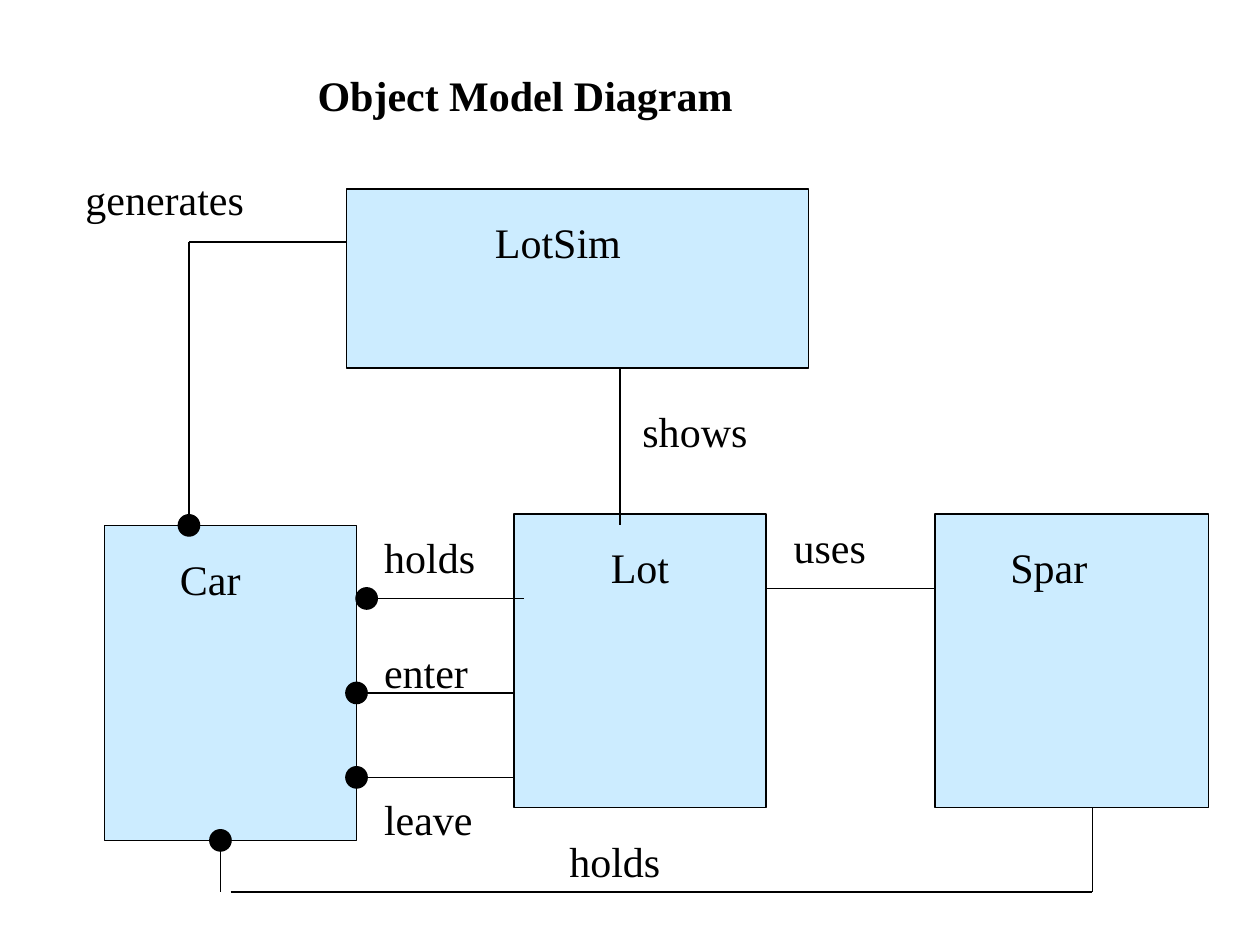
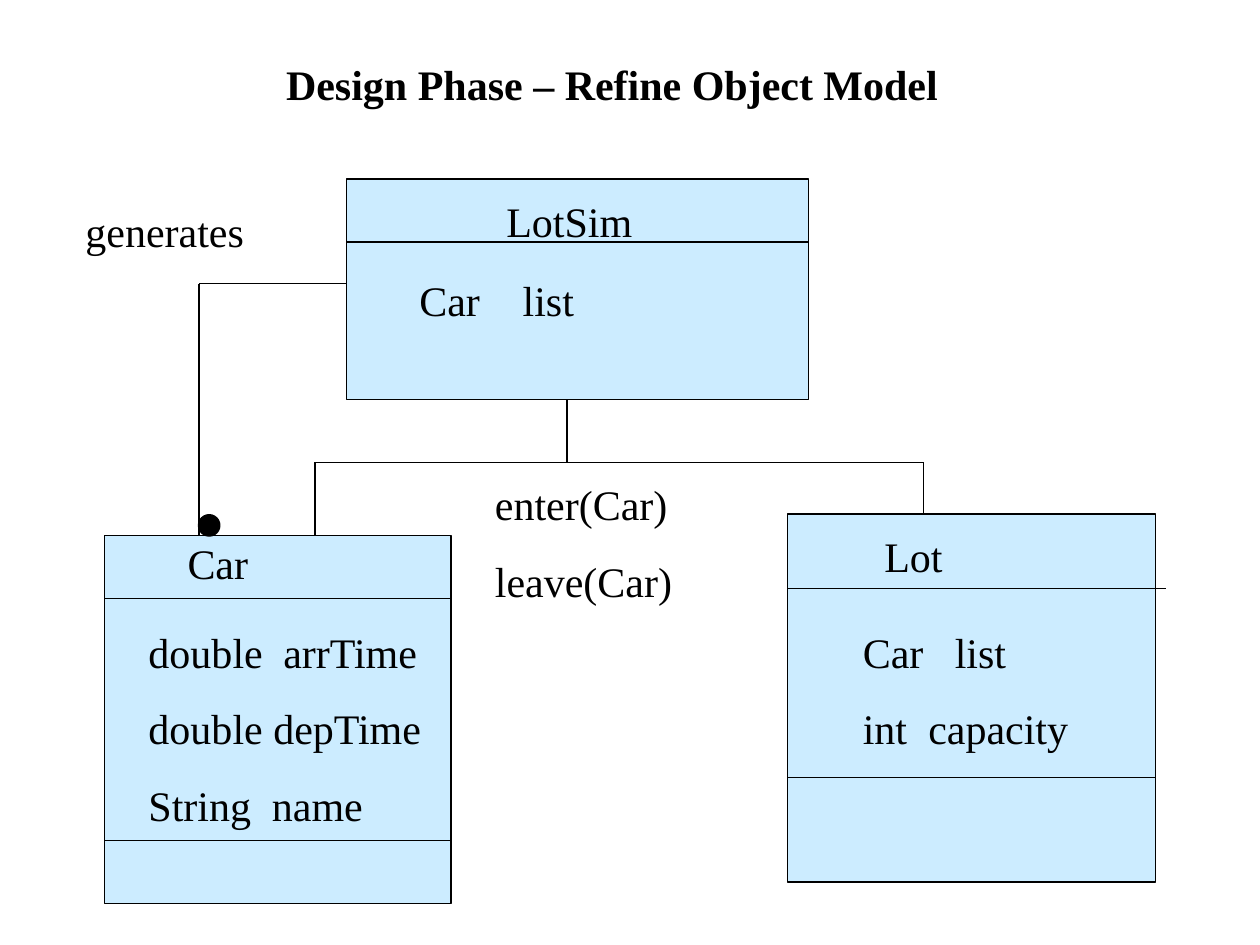
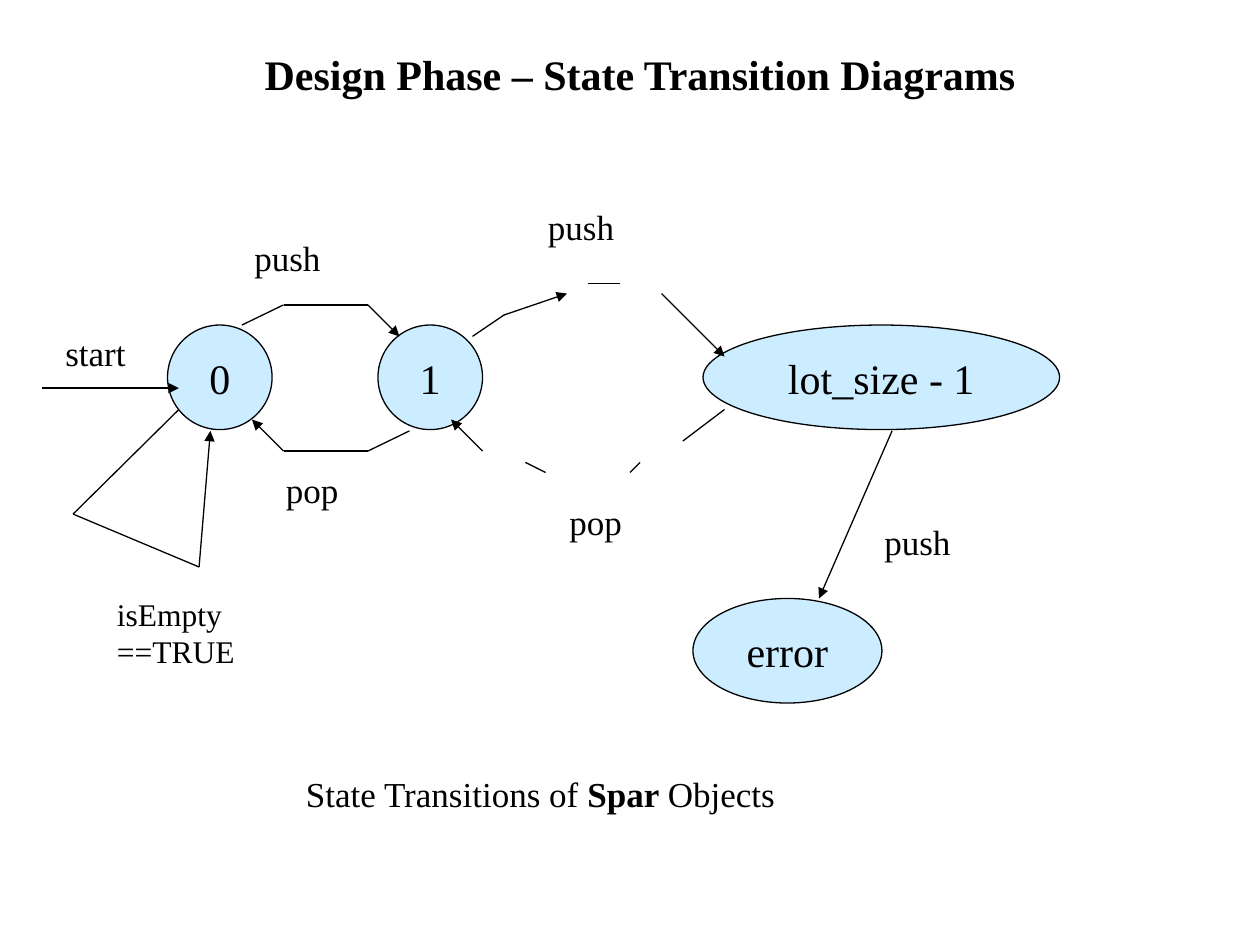
import itertools

import pptx
import pptx.dml.color
import pptx.enum.shapes
import pptx.enum.text
import pptx.oxml.ns
import pptx.util
from lxml import etree

Inches, Pt = pptx.util.Inches, pptx.util.Pt
RGBColor = pptx.dml.color.RGBColor
SHAPE = pptx.enum.shapes.MSO_SHAPE
ANCHOR = pptx.enum.text.MSO_ANCHOR
ALIGN = pptx.enum.text.PP_ALIGN
AUTO = pptx.enum.text.MSO_AUTO_SIZE
qn = pptx.oxml.ns.qn

BLACK = RGBColor(0x00, 0x00, 0x00)
PALE_BLUE = RGBColor(0xCC, 0xEC, 0xFF)
FONT = "Times New Roman"
BIG, MEDIUM, SMALL = 24, 20, 18
DOT = 0.17
STATE_HEIGHT = 0.83
NUDGE = 0.08
TEXT_FRAME = {
    "margin_left": Inches(0.1), "margin_right": Inches(0.1),
    "margin_top": Inches(0.05), "margin_bottom": Inches(0.05),
    "word_wrap": True,
}

# Titles: text, left, width
TITLES = [
    ("Object Model Diagram", 2.42, 3.92),
    ("Design Phase – Refine Object Model", 2.17, 5.4),
    ("Design Phase – State Transition Diagrams", 2, 6.19),
]

# Classes: left, top, width, height, then the indent and drop of the name
# Across: left class, right class, height of line, nudge, label, label rise
# Down: upper class, x, end of line
# Generates: x, y of the corner, nudge of the dot, label top
# Bracket: first class, second class, their x, y of the bar, gap at its start
# Labels: left, top, lines; a pair is tabbed text and its tab stop
MODELS = [
    {
        "classes": {
            "LotSim": (2.75, 1.5, 3.67, 1.42, 1.08, 0.17),
            "Car": (0.83, 4.17, 2, 2.5, 0.5, 0.17),
            "Lot": (4.08, 4.08, 2, 2.33, 0.67, 0.17),
            "Spar": (7.42, 4.08, 2.17, 2.33, 0.5, 0.17),
        },
        "dividers": [],
        "across": [
            ("Car", "Lot", 4.75, NUDGE, "holds", 0.58),
            ("Car", "Lot", 5.5, 0, "enter", 0.42),
            ("Car", "Lot", 6.17, 0, "leave", -NUDGE),
            ("Lot", "Spar", 4.67, 0, "uses", 0.58),
        ],
        "down": ("LotSim", 4.92, 4.17),
        "generates": (1.5, 1.92, 0, 1.33),
        "bracket": ("Car", "Spar", 1.75, 8.67, 7.08, NUDGE),
        "labels": [(4.42, 6.58, ["holds"]), (5, 3.17, ["shows"])],
    },
    {
        "classes": {
            "Car": (0.83, 4.25, 2.75, 2.92, 0.56, -0.03),
            "Lot": (6.25, 4.08, 2.92, 2.92, 0.67, NUDGE),
            "LotSim": (2.75, 1.42, 3.67, 1.75, 1.17, NUDGE),
        },
        "dividers": [("Car", 4.75, 0), ("Car", 6.67, 0), ("Lot", 4.67, NUDGE),
                     ("Lot", 6.17, 0), ("LotSim", 1.92, 0)],
        "across": [],
        "down": ("LotSim", 4.5, 3.67),
        "generates": (1.58, 2.25, NUDGE, 1.58),
        "bracket": ("Car", "Lot", 2.5, 7.33, 3.67, 0),
        "labels": [
            (1.08, 4.92, [("double\tarrTime", 1.07), "double depTime",
                          ("String\tname", 0.98)]),
            (6.75, 4.92, [("Car\tlist", 0.73), ("int\tcapacity", 0.52)]),
            (3.23, 2.13, [("Car\tlist", 0.82)]),
            (3.83, 3.75, ["enter(Car)", "leave(Car)"]),
        ],
    },
]

# States: name, left, top, width
STATES = [
    ("0", 1.33, 2.58, STATE_HEIGHT),
    ("1", 3, 2.58, STATE_HEIGHT),
    ("lot_size - 1", 5.58, 2.58, 2.83),
    ("error", 5.5, 4.75, 1.5),
]
# The pop from 1 to 0 is the push turned half round a point between the states
PUSH = [(1.92, 2.58), (2.25, 2.42), (2.92, 2.42), (3.17, 2.67)]
POP = [(5.17 - x, 6 - y) for x, y in PUSH]
ARROWS = [
    PUSH,
    POP,
    [(0.33, 3.08), (1.42, 3.08)],
    [(3.75, 2.67), (4, 2.5), (4.5, 2.33)],
    [(5.25, 2.33), (5.75, 2.83)],
    [(3.83, 3.58), (3.58, 3.33)],
    [(7.08, 3.42), (6.5, 4.75)],
    [(1.42, 3.25), (0.58, 4.08), (1.58, 4.5), (1.67, 3.42)],
]
DASHES = [
    [(4.67, 2.25), (4.92, 2.25)],
    [(5.75, 3.25), (5.42, 3.5)],
    [(5.08, 3.67), (5, 3.75)],
    [(4.17, 3.67), (4.33, 3.75)],
]
# Words between bars are bold
STATE_LABELS = [
    (1.92, 1.83, "push"), (4.25, 1.58, "push"), (6.92, 4.08, "push"),
    (2.17, 3.67, "pop"), (4.42, 3.92, "pop"), (0.42, 2.58, "start"),
    (2.33, 6.08, "State Transitions of |Spar |Objects"),
]


def set_all(obj, values):
    for name, value in values.items():
        setattr(obj, name, value)


def add_run(p, text, size, bold=False):
    r = p.add_run()
    r.text = text
    set_all(r.font, {"name": FONT, "size": Pt(size), "bold": bold})
    r.font.color.rgb = BLACK


def set_line(line):
    line.color.rgb = BLACK
    line.width = Pt(0.75)


def add_shape(slide, kind, x, y, w, h, fill=PALE_BLUE):
    sp = slide.shapes.add_shape(kind, *map(Inches, (x, y, w, h)))
    sp.shadow.inherit = False
    sp.fill.solid()
    sp.fill.fore_color.rgb = fill
    set_line(sp.line)
    return sp


def add_dot(slide, x, y):
    add_shape(slide, SHAPE.OVAL, x - DOT / 2, y - DOT / 2, DOT, DOT, BLACK)


def add_path(slide, points, arrow=False):
    for start, end in itertools.pairwise(points):
        line = slide.shapes.add_connector(
            pptx.enum.shapes.MSO_CONNECTOR.STRAIGHT, *map(Inches, start + end))
        set_line(line.line)
        etree.SubElement(line._element.spPr, qn("a:effectLst"))
    if arrow:
        etree.SubElement(line.line._get_or_add_ln(), qn("a:tailEnd"), type="triangle")


def add_label(slide, x, y, lines, size=BIG, width=None):
    pairs = [line if isinstance(line, tuple) else (line, None) for line in lines]
    longest = max(len(text) for text, stop in pairs)
    width = width or (0.35 + 0.16 * longest) * size / BIG
    height = 0.1 + len(lines) * size / 60
    sp = slide.shapes.add_textbox(*map(Inches, (x, y, width, height)))
    tf = sp.text_frame
    set_all(tf, {**TEXT_FRAME, "auto_size": AUTO.SHAPE_TO_FIT_TEXT})
    for i, (text, stop) in enumerate(pairs):
        p = tf.add_paragraph() if i else tf.paragraphs[0]
        p.space_before = Pt(size * 5 / 8)
        if stop:
            tabs = etree.SubElement(p._p.get_or_add_pPr(), qn("a:tabLst"))
            etree.SubElement(tabs, qn("a:tab"), pos=str(Inches(stop)), algn="l")
        for part, piece in enumerate(text.split("|")):
            add_run(p, piece, size, part % 2 == 1)


def add_titled_slide(prs, index):
    text, x, w = TITLES[index]
    slide = prs.slides.add_slide(prs.slide_layouts[5])
    sp = slide.shapes.title
    # Each title stands one step higher than the one before
    set_all(sp, {"left": Inches(x), "top": Inches(0.5 - index / 12),
                 "width": Inches(w), "height": Inches(0.5)})
    set_all(sp.text_frame, {**TEXT_FRAME, "auto_size": AUTO.NONE,
                            "vertical_anchor": ANCHOR.TOP})
    p = sp.text_frame.paragraphs[0]
    p.alignment = ALIGN.LEFT
    add_run(p, text, BIG, True)
    return slide


def add_model(slide, model):
    classes = model["classes"]
    for x, y, w, h, indent, drop in classes.values():
        add_shape(slide, SHAPE.RECTANGLE, x, y, w, h)
    for name, (x, y, w, h, indent, drop) in classes.items():
        add_label(slide, x + indent, y + drop, [name])

    left = {name: box[0] for name, box in classes.items()}
    top = {name: box[1] for name, box in classes.items()}
    right = {name: box[0] + box[2] for name, box in classes.items()}
    bottom = {name: box[1] + box[3] for name, box in classes.items()}

    # Lines inside and between classes
    for name, y, extra in model["dividers"]:
        add_path(slide, [(left[name], y), (right[name] + extra, y)])
    for a, b, y, shift, text, rise in model["across"]:
        add_path(slide, [(right[a] + shift, y), (left[b] + shift, y)])
        add_label(slide, right[a] + 0.12, y - rise, [text])
        if a == "Car":
            add_dot(slide, right[a] + shift, y)
    name, x, end = model["down"]
    add_path(slide, [(x, bottom[name]), (x, end)])

    # A bar below the classes joins their bottoms, one above joins their tops
    a, b, xa, xb, y, gap = model["bracket"]
    edge = bottom if y > bottom[a] else top
    add_path(slide, [(xa, edge[a]), (xa, y)])
    add_path(slide, [(xa + gap, y), (xb, y), (xb, edge[b])])
    if edge is bottom:
        add_dot(slide, xa, edge[a])

    x, y, shift, label_top = model["generates"]
    add_path(slide, [(left["LotSim"], y), (x, y), (x, top["Car"])])
    add_dot(slide, x + shift, top["Car"] - shift)
    add_label(slide, 0.58, label_top, ["generates"])
    for label in model["labels"]:
        add_label(slide, *label)


def add_states(slide):
    for name, x, y, w in STATES:
        tf = add_shape(slide, SHAPE.OVAL, x, y, w, STATE_HEIGHT).text_frame
        set_all(tf, {**TEXT_FRAME, "word_wrap": False,
                     "vertical_anchor": ANCHOR.MIDDLE})
        tf.paragraphs[0].alignment = ALIGN.CENTER
        add_run(tf.paragraphs[0], name, BIG)
    for points in ARROWS:
        add_path(slide, points, arrow=True)
    for points in DASHES:
        add_path(slide, points)
    for x, y, text in STATE_LABELS:
        add_label(slide, x, y, [text], MEDIUM)
    add_label(slide, 0.83, 4.67, ["isEmpty ==TRUE"], SMALL, 1.42)


def main():
    prs = pptx.Presentation()
    prs.slide_width, prs.slide_height = Inches(10), Inches(7.5)
    for index, model in enumerate(MODELS):
        add_model(add_titled_slide(prs, index), model)
    add_states(add_titled_slide(prs, len(MODELS)))
    prs.save("out.pptx")


if __name__ == "__main__":
    main()
